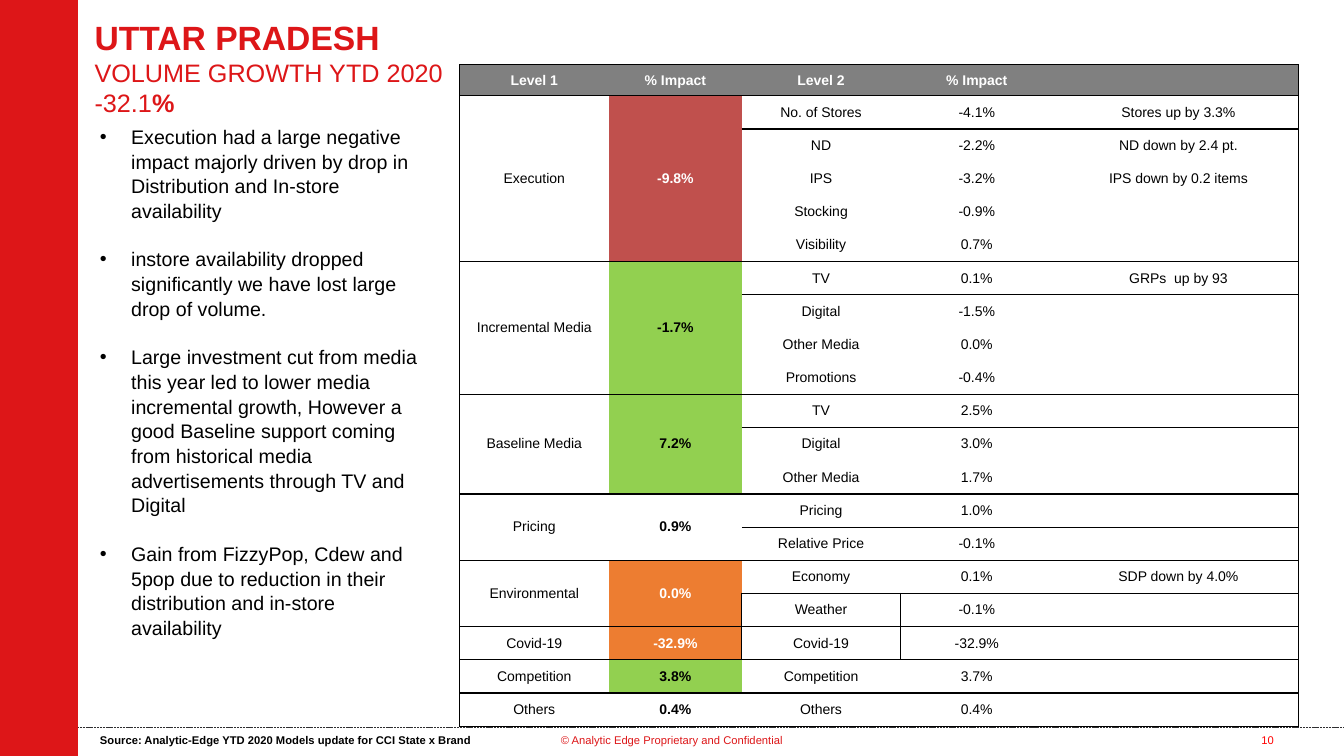
from lxml.etree import SubElement, Element
from pptx import Presentation
from pptx.dml.color import RGBColor as RGB
from pptx.enum.dml import MSO_LINE
from pptx.enum.shapes import MSO_CONNECTOR, MSO_SHAPE
from pptx.enum.text import MSO_ANCHOR, PP_ALIGN
from pptx.oxml.ns import qn
from pptx.util import Emu, Inches, Pt

COLORS = {"red": "DD1618", "page": "FF0000", "black": "000000", "white": "FFFFFF",
          "rule": "2E2E30", "header": "808080", "drop": "C0504D",
          "gain": "92D050", "flat": "ED7D31"}
NO_GRID = "{2D5ABB26-0587-4C30-8999-92F81FD0307C}"
HEADER = ["Level 1", "% Impact", "Level 2", "% Impact", ""]
COL_SHARES = [11.1, 9.9, 11.78, 11.4, 18.23]
HEADER_SHARE, ROW_SHARE = 4.13, 4.39
GROUPS = [
    ("Execution", "-9.8%", "drop", [
        ("No. of Stores", "-4.1%", "Stores up by 3.3%"),
        ("ND", "-2.2%", "ND down by 2.4 pt."),
        ("IPS", "-3.2%", "IPS down by 0.2 items"),
        ("Stocking", "-0.9%", ""), ("Visibility", "0.7%", "")]),
    ("Incremental Media", "-1.7%", "gain", [
        ("TV", "0.1%", "GRPs  up by 93"), ("Digital", "-1.5%", ""),
        ("Other Media", "0.0%", ""), ("Promotions", "-0.4%", "")]),
    ("Baseline Media", "7.2%", "gain", [
        ("TV", "2.5%", ""), ("Digital", "3.0%", ""), ("Other Media", "1.7%", "")]),
    ("Pricing", "0.9%", None, [("Pricing", "1.0%", ""), ("Relative Price", "-0.1%", "")]),
    ("Environmental", "0.0%", "flat", [
        ("Economy", "0.1%", "SDP down by 4.0%"), ("Weather", "-0.1%", "")]),
    ("Covid-19", "-32.9%", "flat", [("Covid-19", "-32.9%", "")]),
    ("Competition", "3.8%", "gain", [("Competition", "3.7%", "")]),
    ("Others", "0.4%", None, [("Others", "0.4%", "")]),
]
EDGED = ("Weather", "Covid-19")
BULLETS = [
    "Execution had a large negative impact majorly driven by drop in Distribution "
    "and In-store availability",
    "instore availability dropped significantly we have lost large drop of volume.",
    "Large investment cut from media this year led to lower media incremental growth, "
    "However a good Baseline support coming from historical media advertisements "
    "through TV and Digital",
    "Gain from FizzyPop, Cdew and 5pop due to reduction in their distribution and "
    "in-store availability",
]


class Deck:
    """Hold the style and the current slide; lengths are percent shares of the slide."""

    def __init__(self, font="Arial"):
        self.font = font
        self.prs = Presentation()
        self.prs.slide_width, self.prs.slide_height = Inches(13.33), Inches(7.5)
        self.s = self.prs.slides.add_slide(self.prs.slide_layouts[6])

    def x(self, share):
        return Emu(int(self.prs.slide_width * share / 100))

    def y(self, share):
        return Emu(int(self.prs.slide_height * share / 100))

    def box(self, left, top, width, height):
        return self.x(left), self.y(top), self.x(width), self.y(height)

    def style(self, p, size, color="black", bold=False):
        for r in p.runs:
            r.font.name, r.font.size, r.font.bold = self.font, Pt(size), bold
            r.font.color.rgb = RGB.from_string(COLORS[color])

    def rule(self, left, right, top):
        ln = self.s.shapes.add_connector(MSO_CONNECTOR.STRAIGHT, self.x(left), self.y(top),
                                         self.x(right), self.y(top))
        ln.line.color.rgb = RGB.from_string(COLORS["rule"])
        ln.line.width, ln.line.dash_style = Pt(0.5), MSO_LINE.SQUARE_DOT
        SubElement(ln._element.spPr, qn("a:effectLst"))

    def rect(self, area, color):
        sp = self.s.shapes.add_shape(MSO_SHAPE.RECTANGLE, *self.box(*area))
        sp.shadow.inherit = False
        sp.fill.solid()
        sp.fill.fore_color.rgb = RGB.from_string(COLORS[color])
        sp.line.fill.background()

    def text(self, area, text, size, color="black", bold=False, align=PP_ALIGN.LEFT, wrap=True):
        tf = self.s.shapes.add_textbox(*self.box(*area)).text_frame
        tf.word_wrap = wrap
        tf.text = text
        for p in tf.paragraphs:
            p.alignment = align
            self.style(p, size, color, bold)
        return tf

    def title(self, area, name, measure, value):
        p = self.text(area, f"{name}\v{measure}\v{value}", 18, "red").paragraphs[0]
        p.runs[0].font.size, p.runs[0].font.bold = Pt(24), True
        p.add_run().text = "%"
        self.style(p, 18, "red")
        p.runs[0].font.size = Pt(24)
        p.runs[0].font.bold = p.runs[-1].font.bold = True

    def bullets(self, area, items):
        tf = self.text(area, "\n".join(items), 14)
        for i, p in enumerate(tf.paragraphs):
            pPr = p._p.get_or_add_pPr()
            pPr.set("marL", str(Inches(0.31)))
            pPr.set("indent", str(-Inches(0.31)))
            SubElement(pPr, qn("a:buFont"), typeface=self.font)
            SubElement(pPr, qn("a:buChar"), char="•")
            p.line_spacing = 1.05
            if i:
                p.space_before = Pt(17)

    def cell(self, cell, text, sides, fill=None, color="black", bold=False, margins=(0.01, 0.01)):
        cell.text = text
        cell.vertical_anchor = MSO_ANCHOR.MIDDLE
        cell.margin_left, cell.margin_right = map(Inches, margins)
        cell.margin_top = cell.margin_bottom = 0
        p = cell.text_frame.paragraphs[0]
        p.alignment = PP_ALIGN.CENTER
        self.style(p, 10, color, bold)
        if fill:
            cell.fill.solid()
            cell.fill.fore_color.rgb = RGB.from_string(COLORS[fill])
        else:
            cell.fill.background()
        tcPr = cell._tc.get_or_add_tcPr()
        for i, side in enumerate(s for s in "LRTB" if s in sides):
            ln = Element(qn(f"a:ln{side}"), w=str(Pt(1)))
            SubElement(SubElement(ln, qn("a:solidFill")), qn("a:srgbClr"), val=COLORS["black"])
            tcPr.insert(i, ln)

    def impact_table(self, left, top):
        count = sum(len(details) for *_, details in GROUPS)
        area = left, top, sum(COL_SHARES), HEADER_SHARE + count * ROW_SHARE
        frame = self.s.shapes.add_table(count + 1, len(HEADER), *self.box(*area))
        tbl = frame.table
        tbl._tbl.tblPr.find(qn("a:tableStyleId")).text = NO_GRID
        tbl.horz_banding = False
        for col, share in zip(tbl.columns, COL_SHARES):
            col.width = self.x(share)
        for i, row in enumerate(tbl.rows):
            row.height = self.y(ROW_SHARE if i else HEADER_SHARE)
        outer = {0: "L", len(HEADER) - 1: "R"}
        for c, label in enumerate(HEADER):
            self.cell(tbl.cell(0, c), label, "TB" + outer.get(c, ""), "header", "white", True)
        first = 1
        for name, impact, fill, details in GROUPS:
            last = first + len(details) - 1
            for r, detail in enumerate(details, first):
                lead = (name, impact) if r == first else ("", "")
                ends = "T" * (r == first) + "B" * (r == last)
                for c, text in enumerate(lead + detail):
                    sides = ends + outer.get(c, "")
                    if c == 2 and text in EDGED:
                        sides += "L"
                    self.cell(tbl.cell(r, c), text, sides, fill if c == 1 else None,
                              "white" if c == 1 and fill in ("drop", "flat") else "black",
                              c == 1, (0.1, 0.05) if c == 4 else (0.01, 0.01))
            if last > first:
                for c in (0, 1):
                    tbl.cell(first, c).merge(tbl.cell(last, c))
            first = last + 1


def main():
    deck = Deck()
    deck.rule(5.3, 100, 96.2)
    deck.rect((0, 0, 5.8, 100), "red")
    deck.text((39.5, 96.3, 21, 5.3), "© Analytic Edge Proprietary and Confidential", 8, "red",
              align=PP_ALIGN.CENTER)
    deck.text((92, 96.3, 4.65, 5.3), "10", 8, "page", align=PP_ALIGN.CENTER)
    deck.bullets((6.7, 15.7, 25.7, 67.3), BULLETS)
    deck.title((6.3, 1.6, 76.9, 11.5), "UTTAR PRADESH", "VOLUME GROWTH YTD 2020 ", "-32.1")
    deck.impact_table(34.2, 8.55)
    deck.text((6.7, 96.3, 29.2, 3.2),
              "Source: Analytic-Edge YTD 2020 Models update for CCI State x Brand", 8,
              bold=True, wrap=False)
    deck.prs.save("out.pptx")


if __name__ == "__main__":
    main()
